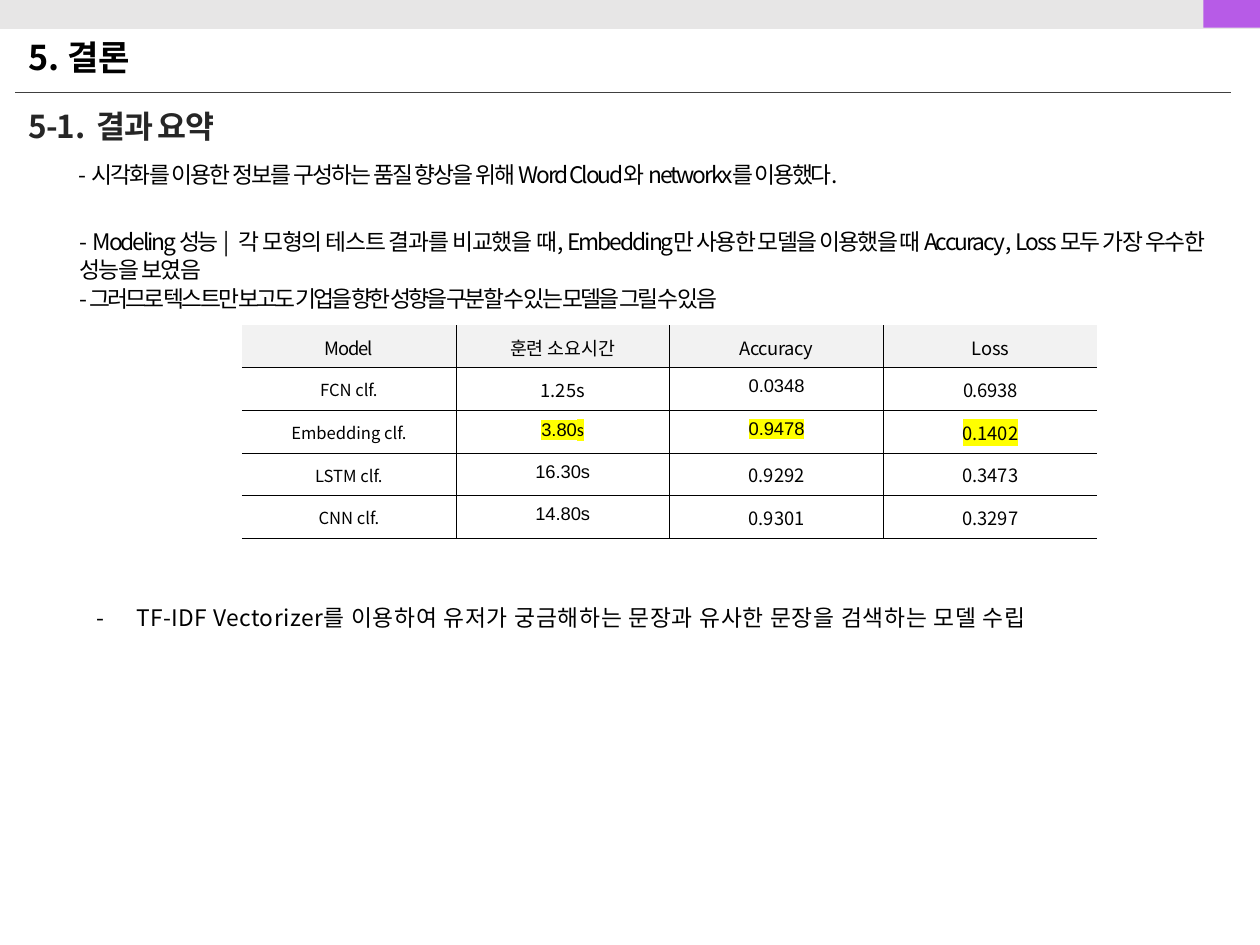
import pptx
import pptx.dml.color
import pptx.enum.dml
import pptx.enum.shapes
import pptx.enum.text
import pptx.oxml
import pptx.oxml.ns
import pptx.util
from lxml import etree

In, Pt = pptx.util.Inches, pptx.util.Pt
qn = pptx.oxml.ns.qn

W, H = 10, 7.5
COLORS = {"ink": "000000", "heading": "262626", "rule": "404040", "bar": "E7E6E6",
          "accent": "B75BE7", "header": "F2F2F2", "mark": "FFFF00"}
KR, LATIN, ALT = "Noto Sans CJK KR", "Arial", "Calibri"

BARS = [((0, 0, W, 0.23), "bar"), ((9.55, 0, 0.45, 0.22), "accent")]

TEXTS = [
    {"at": (0.22, 0.84, 4.21, 0.32), "top": 0.01, "size": 18, "color": "heading", "bold": True,
     "paras": [[("5-1", -0.8), (".  ", -0.75), ("결과 요약", -0.85)]]},
    {"at": (0.22, 0.27, 1.12, 0.34), "top": 0.02, "size": 19.5, "bold": True,
     "paras": [[("5. 결론", -0.1)]]},
    {"at": (0.62, 1.8, 9.16, 0.68), "top": 0.01,
     "paras": [[("- ", 0.2), ("Modeling ", -1.2), ("성능", -1.8), (" ", 0.4), ("| ", 1),
                ("각 모형의 테스트 결과를 비교했을 ", -0.63), ("때, ", -0.8),
                ("Embedding", -1.1), ("만 사용한 모델을 이용했을 때 ", -0.9),
                ("Accuracy", -1.1), (", ", -0.5),
                ("Loss ", -1.1), ("모두 가장 우수한 성능을 보였음", -0.8)],
               [("- ", -1.8),
                ("그러므로 텍스트만 보고도 기업을 향한 성향을 구분할 수 있는 모델을 그릴 수 있음", -1.58)]]},
    {"at": (0.77, 4.73, 8.04, 0.28), "top": 0.06, "before": 4.3, "indent": 0, "tab": 0.31,
     "paras": [[("-\tTF-IDF Vectorizer", 0.27),
                ("를 이용하여 유저가 궁금해하는 문장과 유사한 문장을 검색하는 모델 수립", 0.45)]]},
    {"at": (0.61, 1.27, 9.16, 0.23), "top": 0.01,
     "paras": [[("- ", 0.2), ("시각화를 이용한 정보를 구성하는 품질 향상을 위해 ", -1),
                ("Word Cloud", -1.2), ("와 ", -0.7), ("networkx를 이용했다.", -1.2)]]},
]

TABLE_AT = (1.92, 2.58, 6.79, 1.69)
ROWS = [
    ["Model", "훈련 소요시간", "Accuracy", "Loss"],
    ["FCN clf.", "1.25s", "0.0348", "0.6938"],
    ["Embedding clf.", "3.80s", "0.9478", "0.1402"],
    ["LSTM clf.", "16.30s", "0.9292", "0.3473"],
    ["CNN clf.", "14.80s", "0.9301", "0.3297"],
]
SPACING = {"Model": -0.6, "Accuracy": -0.2, "0.6938": -0.1}
ARIAL = {"0.0348", "0.9478", "16.30s", "14.80s"}
SPLIT = {"3.80s": [("3.80", LATIN), ("s", ALT)]}
MARKED_ROW = 2


def rgb(name):
    return pptx.dml.color.RGBColor.from_string(COLORS[name])


def box(area):
    return [In(v) for v in area]


def style_paragraph(p, size, color, bold, before):
    p.space_before = Pt(before)
    p.font.size, p.font.bold, p.font.name = Pt(size), bold, KR
    p.font.color.rgb = rgb(color)
    latin = p._p.pPr.find(qn("a:defRPr")).find(qn("a:latin"))
    latin.addnext(latin.makeelement(qn("a:ea"), {"typeface": KR}))


def add_run(p, text, spacing, font=None, mark=False):
    r = p.add_run()
    r.text = text
    rpr = r._r.get_or_add_rPr()
    rpr.set("spc", str(round(spacing * 100)))
    if mark:
        hl = etree.SubElement(rpr, qn("a:highlight"))
        etree.SubElement(hl, qn("a:srgbClr"), val=COLORS["mark"])
    if font:
        r.font.name = font


def add_text(s, at, top, paras, size=13, color="ink", bold=False, before=1, indent=0.01, tab=None):
    tf = s.shapes.add_textbox(*box(at)).text_frame
    tf.word_wrap = True
    tf.auto_size = pptx.enum.text.MSO_AUTO_SIZE.SHAPE_TO_FIT_TEXT
    tf.margin_left = tf.margin_right = tf.margin_bottom = 0
    tf.margin_top = In(top)
    for i, runs in enumerate(paras):
        p = tf.add_paragraph() if i else tf.paragraphs[0]
        style_paragraph(p, size, color, bold, before)
        ppr = p._p.pPr
        ppr.set("marL", str(In(indent)))
        if tab:
            tabs = ppr.makeelement(qn("a:tabLst"), {})
            ppr.find(qn("a:defRPr")).addprevious(tabs)
            etree.SubElement(tabs, qn("a:tab"), pos=str(In(tab)), algn="l")
        for text, spacing in runs:
            add_run(p, text, spacing)


def set_borders(cell, sides):
    tcpr = cell._tc.get_or_add_tcPr()
    for i, side in enumerate("LRTB"):
        ln = tcpr.makeelement(qn("a:ln" + side), {"w": str(Pt(0.25))})
        tcpr.insert(i, ln)
        if side in sides:
            fill = etree.SubElement(ln, qn("a:solidFill"))
            etree.SubElement(fill, qn("a:srgbClr"), val=COLORS["ink"])
        else:
            etree.SubElement(ln, qn("a:noFill"))


def add_results(s):
    n_rows, n_cols = len(ROWS), len(ROWS[0])
    table = s.shapes.add_table(n_rows, n_cols, *box(TABLE_AT)).table
    table.first_row = table.horz_banding = False
    for i, row in enumerate(ROWS):
        for j, text in enumerate(row):
            cell = table.cell(i, j)
            model = i > 0 and j == 0
            before = 4.9 if i % 2 else 5.3
            cell.margin_left = cell.margin_right = cell.margin_bottom = 0
            cell.margin_top = In(0.08 if model else 0.07)
            if i:
                cell.fill.background()
            else:
                cell.fill.solid()
                cell.fill.fore_color.rgb = rgb("header")
            sides = "B" + "T" * (i > 0) + "L" * (j > 0) + "R" * (j < n_cols - 1)
            set_borders(cell, sides)
            p = cell.text_frame.paragraphs[0]
            p.alignment = pptx.enum.text.PP_ALIGN.CENTER
            style_paragraph(p, 9.5 if model else 10.5, "ink", False,
                            10.8 - before if model else before)
            parts = SPLIT.get(text, [(text, LATIN if text in ARIAL else None)])
            for part, font in parts:
                add_run(p, part, SPACING.get(text, 0), font, i == MARKED_ROW and j > 0)


def main():
    prs = pptx.Presentation()
    prs.slide_width, prs.slide_height = In(W), In(H)
    s = prs.slides.add_slide(prs.slide_layouts[6])
    for area, color in BARS:
        sp = s.shapes.add_shape(pptx.enum.shapes.MSO_SHAPE.RECTANGLE, *box(area))
        sp.shadow.inherit = False
        sp.fill.solid()
        sp.fill.fore_color.rgb = rgb(color)
        sp.line.fill.background()
    rule = s.shapes.add_connector(pptx.enum.shapes.MSO_CONNECTOR.STRAIGHT,
                                  *box((0.12, 0.73, 9.77, 0.73)))
    rule.line.color.rgb, rule.line.width = rgb("rule"), Pt(0.5)
    etree.SubElement(rule._element.spPr, qn("a:effectLst"))
    for item in TEXTS:
        add_text(s, **item)
    add_results(s)
    prs.save("out.pptx")


if __name__ == "__main__":
    main()
